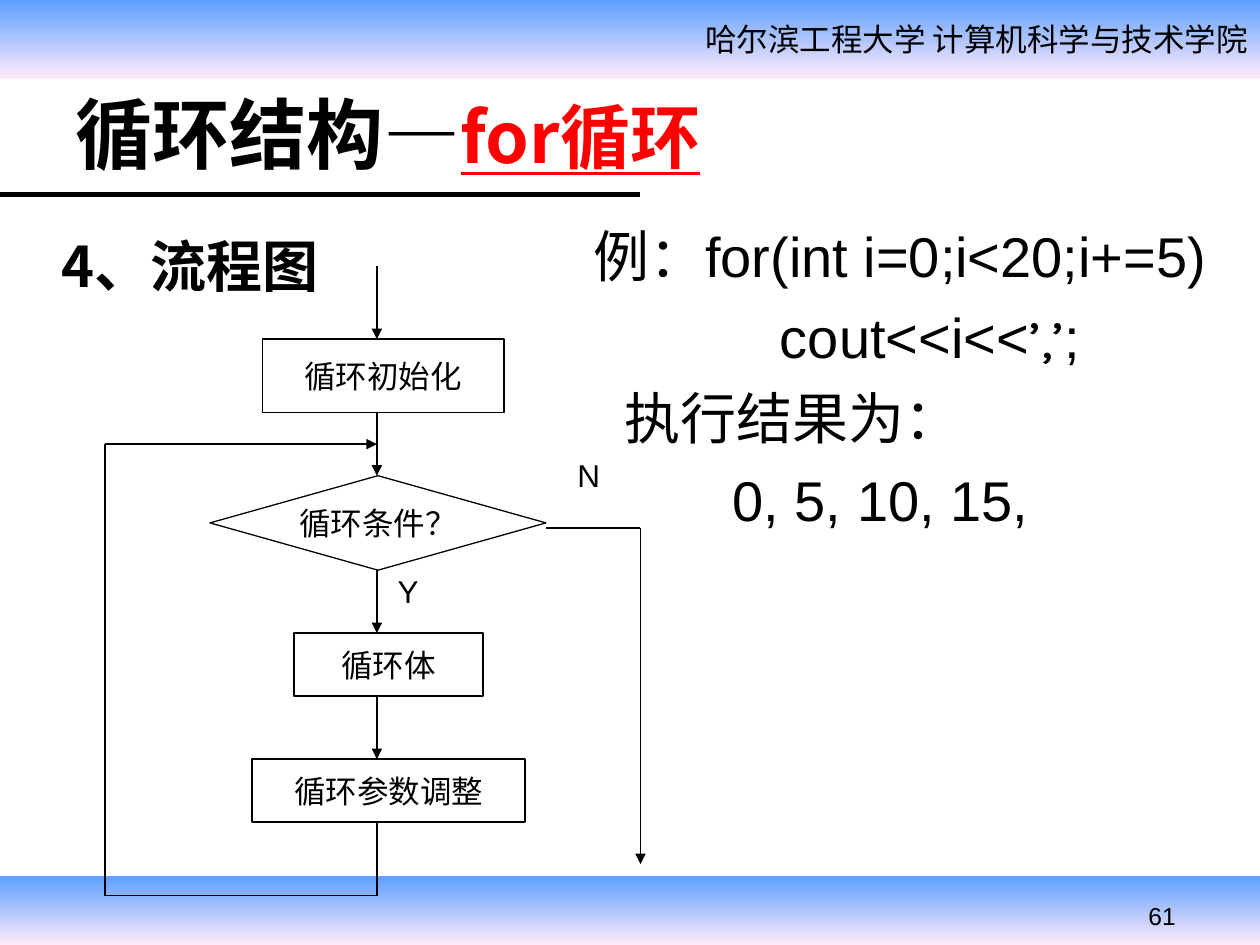
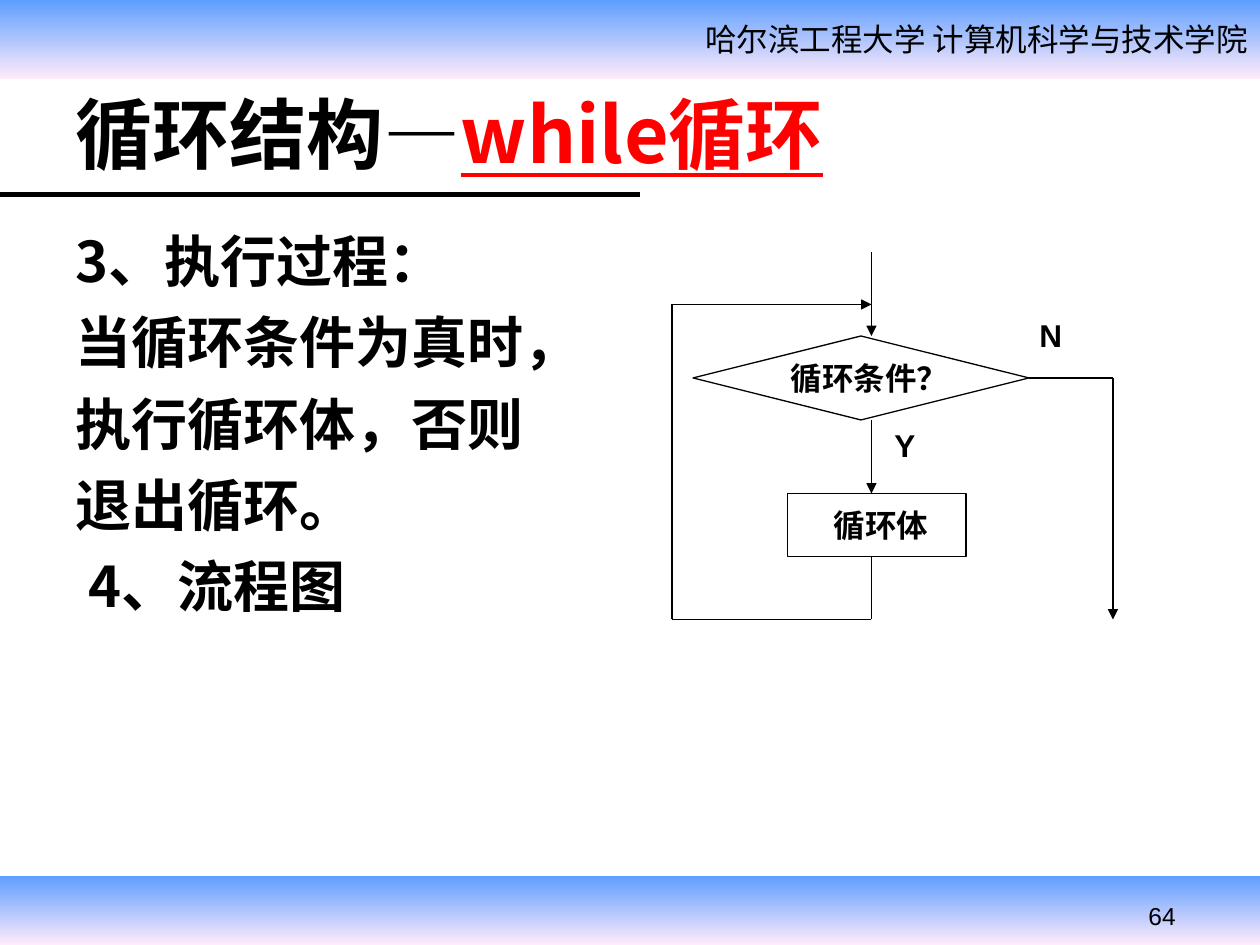
from dataclasses import dataclass
from itertools import pairwise
from lxml.etree import SubElement
from pptx import Presentation
from pptx.dml.color import RGBColor
from pptx.enum.shapes import MSO_CONNECTOR, MSO_SHAPE
from pptx.enum.text import MSO_ANCHOR, PP_ALIGN
from pptx.oxml.ns import qn
from pptx.util import Inches, Pt


@dataclass(frozen=True)
class Theme:
    ink: str = "000000"
    paper: str = "FFFFFF"
    accent: str = "FF0000"
    band_top: str = "5E9EFF"
    band_bottom: str = "FFEBFA"
    latin: str = "Arial"
    quotes: str = "Karla"
    heading: str = "Noto Sans CJK SC"
    header: str = "Noto Sans CJK JP"
    title_size: int = 44
    body_size: int = 32
    label_size: int = 18
    number_size: int = 14
    rule_width: float = 3
    flow_width: float = 0.74
    body_gap: int = 8


theme = Theme()
presentation = Presentation()
presentation.slide_width = Inches(10)
presentation.slide_height = Inches(7.5)
column = presentation.slide_width / 120
row = presentation.slide_height / 90


def write(shape, text, size=theme.label_size, font=theme.latin, color=theme.ink,
          bold=False, underline=False, align=PP_ALIGN.LEFT, anchor=MSO_ANCHOR.TOP,
          indent=0, gap=0, wrap=True, same_line=False):
    frame = shape.text_frame
    frame.word_wrap = wrap
    frame.vertical_anchor = anchor
    paragraph = frame.paragraphs[-1]
    if paragraph.runs and not same_line:
        paragraph = frame.add_paragraph()
    if not same_line:
        paragraph.alignment = align
        paragraph.space_before = Pt(gap)
        paragraph._p.get_or_add_pPr().set("marL", str(round(indent * column)))
    run = paragraph.add_run()
    run.text = text
    run.font.size = Pt(size)
    run.font.name = font
    run.font.bold = bold
    run.font.underline = underline
    run.font.color.rgb = RGBColor.from_string(color)
    east_asian = theme.heading if font == theme.latin else font
    SubElement(run._r.rPr, qn("a:ea"), typeface=east_asian)


def draw_route(slide, points, width=theme.flow_width, arrow=True):
    segments = list(pairwise(points))
    for index, (start, end) in enumerate(segments, 1):
        line = slide.shapes.add_connector(
            MSO_CONNECTOR.STRAIGHT,
            round(start[0] * column), round(start[1] * row),
            round(end[0] * column), round(end[1] * row))
        line.line.width = Pt(width)
        line.line.color.rgb = RGBColor.from_string(theme.ink)
        if arrow and index == len(segments):
            SubElement(line.line._get_or_add_ln(), qn("a:tailEnd"), type="triangle")
        SubElement(line._element.spPr, qn("a:effectLst"))


box = MSO_SHAPE.RECTANGLE
decision = MSO_SHAPE.FLOWCHART_DECISION
pages = [
    dict(
        number="61", keyword="for循环", keyword_size=40, bold=False,
        body_area=(4.7, 21.5, 60, 54), body=[("4、流程图", 0)],
        nodes=[
            (box, "循环初始化", (25, 32.3, 23, 7), 0),
            (decision, "循环条件？", (20, 45.3, 32, 9), 0),
            (box, "循环体", (28, 60.3, 18, 6), 0),
            (box, "循环参数调整", (24, 72.3, 26, 6), 0),
        ],
        routes=[
            [(35.9, 25.3), (35.9, 32.3)],
            [(35.9, 39.3), (35.9, 45.3)],
            [(35.9, 54.3), (35.9, 60.3)],
            [(35.9, 66.3), (35.9, 72.3)],
            [(35.9, 78.3), (35.9, 85.3), (10, 85.3), (10, 42.3), (35.9, 42.3)],
            [(52, 50.3), (61, 50.3), (61, 82.3)],
        ],
        labels=[("Y", 36.7, 53.9), ("N", 53.8, 42.8)],
        example=[
            ([("例：for(int i=0;i<20;i+=5)", theme.latin)], 0),
            ([("cout<<i<<", theme.latin), ("’,’", theme.quotes), (";", theme.latin)], 17.8),
            ([("执行结果为：", theme.latin)], 3),
            ([("0, 5, 10, 15,", theme.latin)], 13.3),
        ],
    ),
    dict(
        number="64", keyword="while循环", keyword_size=theme.title_size, bold=True,
        body_area=(6, 21, 58, 59.4),
        body=[("3、执行过程：", 0), ("当循环条件为真时，", 0), ("执行循环体，否则", 0),
              ("退出循环。", 0), ("4、流程图", 1.2)],
        nodes=[
            (decision, "循环条件？", (66, 32, 32, 8), 1.6),
            (box, "循环体", (75, 47, 17, 6), 0.8),
        ],
        routes=[
            [(83, 24), (83, 32)],
            [(83, 40), (83, 47)],
            [(83, 53), (83, 59), (64, 59), (64, 29), (83, 29)],
            [(98, 36), (106, 36), (106, 59)],
        ],
        labels=[("Y", 84, 40), ("N", 97.8, 29.5)],
        example=[],
    ),
]

for page in pages:
    slide = presentation.slides.add_slide(presentation.slide_layouts[6])

    for top, height in [(0, 7.5), (83.4, 6.6)]:
        band = slide.shapes.add_shape(
            box, 0, round(top * row), presentation.slide_width, round(height * row))
        band.shadow.inherit = False
        band.line.fill.background()
        band.fill.gradient()
        band.fill.gradient_angle = 270
        for stop, color in zip(band.fill.gradient_stops, (theme.band_top, theme.band_bottom)):
            stop.color.rgb = RGBColor.from_string(color)
    draw_route(slide, [(0, 18.5), (61, 18.5)], width=theme.rule_width, arrow=False)

    areas = [(0.4, 1.3, 119.6, 4.8), (108.2, 85.2, 11.8, 4.1), (6, 6.6, 108, 12), page["body_area"]]
    header, number, title, body = [
        slide.shapes.add_textbox(round(left * column), round(top * row),
                                 round(width * column), round(height * row))
        for left, top, width, height in areas]
    write(header, "哈尔滨工程大学 计算机科学与技术学院", font=theme.header, align=PP_ALIGN.RIGHT)
    write(number, page["number"], size=theme.number_size)
    write(title, "循环结构—", size=theme.title_size, font=theme.heading, bold=True,
          anchor=MSO_ANCHOR.MIDDLE)
    write(title, page["keyword"], size=page["keyword_size"], font=theme.heading, bold=True,
          color=theme.accent, underline=True, anchor=MSO_ANCHOR.MIDDLE, same_line=True)
    for text, indent in page["body"]:
        write(body, text, size=theme.body_size, font=theme.heading, bold=True,
              indent=indent, gap=theme.body_gap)

    for kind, text, (left, top, width, height), indent in page["nodes"]:
        node = slide.shapes.add_shape(kind, round(left * column), round(top * row),
                                      round(width * column), round(height * row))
        node.shadow.inherit = False
        node.fill.solid()
        node.fill.fore_color.rgb = RGBColor.from_string(theme.paper)
        node.line.color.rgb = RGBColor.from_string(theme.ink)
        node.line.width = Pt(theme.flow_width)
        write(node, text, bold=page["bold"], align=PP_ALIGN.CENTER,
              anchor=MSO_ANCHOR.MIDDLE, indent=indent, wrap=False)

    for points in page["routes"]:
        draw_route(slide, points)

    for text, left, top in page["labels"]:
        label = slide.shapes.add_textbox(round(left * column), round(top * row),
                                         round(4.5 * column), round(4.8 * row))
        write(label, text, bold=page["bold"], wrap=False)

    if page["example"]:
        example = slide.shapes.add_textbox(round(55.3 * column), round(20.5 * row),
                                           round(64.7 * column), round(37.2 * row))
        for runs, indent in page["example"]:
            for position, (text, font) in enumerate(runs):
                write(example, text, size=theme.body_size, font=font, indent=indent,
                      gap=theme.body_gap, same_line=position > 0)

presentation.save("out.pptx")
